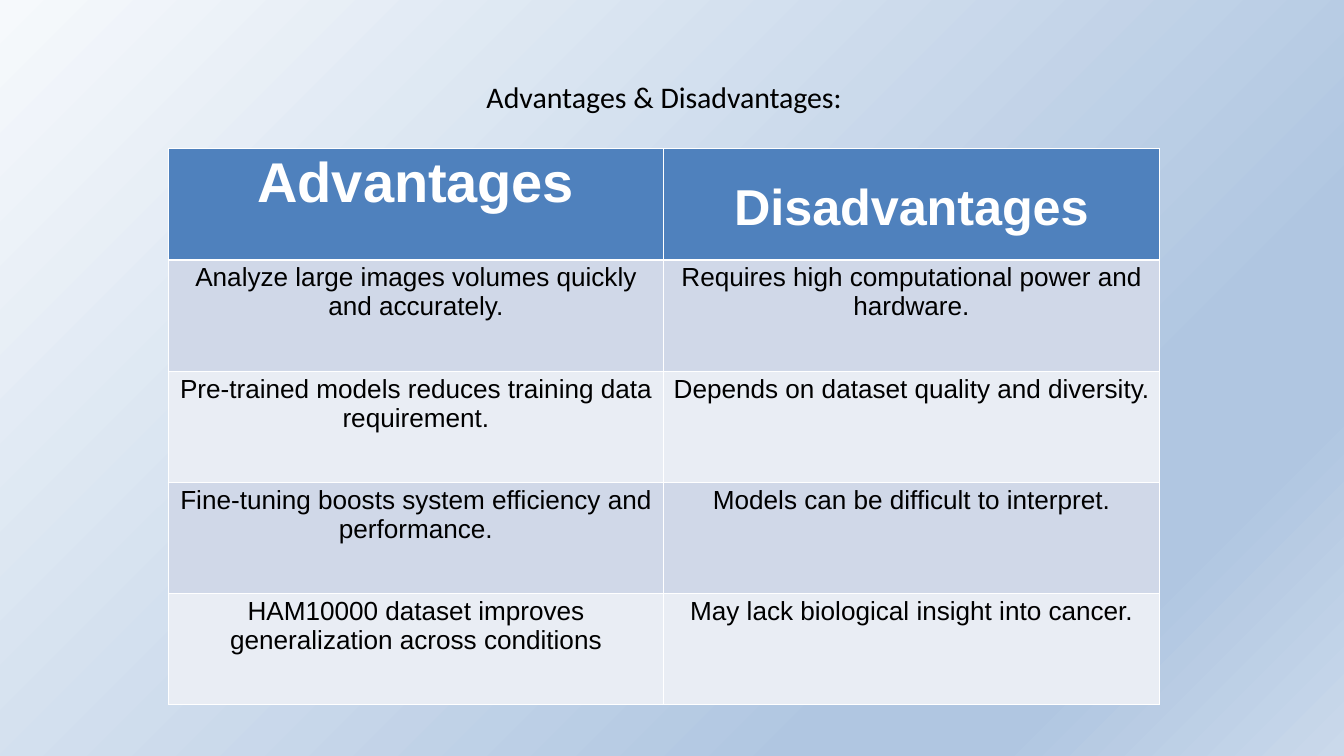
from dataclasses import dataclass

from lxml.etree import SubElement
from pptx import Presentation
from pptx.dml.color import RGBColor as Rgb
from pptx.enum.text import MSO_ANCHOR as Anchor, MSO_AUTO_SIZE as AutoSize, PP_ALIGN as Align
from pptx.oxml import parse_xml
from pptx.oxml.ns import nsdecls, qn
from pptx.util import Pt


@dataclass(frozen=True)
class Theme:
    """Colours, fonts and type sizes of the slide."""

    ink: str = "000000"
    white: str = "FFFFFF"
    header: str = "4F81BD"
    bands: tuple = ("D0D8E8", "E9EDF4")
    backdrop: tuple = ((0, "F6F9FC"), (74, "B0C6E1"), (83, "B0C6E1"), (100, "CAD9EB"))
    title_font: str = "Calibri"
    table_font: str = "Arial"
    title_size: int = 32
    header_sizes: tuple = (60, 54)
    body_size: int = 28
    tracking: int = -10
    rule: int = 1
    header_rule: int = 3


class SlideBuilder:
    """Draws the slide's elements in one theme."""

    def __init__(self, slide, theme):
        """Keep the slide and its theme."""
        self.slide = slide
        self.theme = theme

    def backdrop(self):
        """Fill the background with the diagonal gradient."""
        fill = self.slide.background.fill
        fill.gradient()
        fill.gradient_angle = 315
        stops = self.slide.element.find(".//" + qn("a:gsLst"))
        for stop in list(stops):
            stops.remove(stop)
        for percent, color in self.theme.backdrop:
            stop = SubElement(stops, qn("a:gs"), pos=str(percent * 1000))
            SubElement(stop, qn("a:srgbClr"), val=color)

    def add_text(self, paragraph, text, font, size, color, bold=False, tracking=0):
        """Add one centred, formatted run to a paragraph."""
        paragraph.alignment = Align.CENTER
        run = paragraph.add_run()
        run.text = text
        formats = {"name": font, "size": Pt(size), "bold": bold}
        for attribute, value in formats.items():
            setattr(run.font, attribute, value)
        run.font.color.rgb = Rgb.from_string(color)
        if tracking:
            run.font._element.set("spc", str(tracking))

    def title(self, parts, left, top, width, height):
        """Place the title and fill in its parts, each with its tracking."""
        heading = self.slide.shapes.title
        placement = {"left": left, "top": top, "width": width, "height": height}
        for attribute, value in placement.items():
            setattr(heading, attribute, Pt(value))
        frame = heading.text_frame
        formats = {"word_wrap": True, "auto_size": AutoSize.SHAPE_TO_FIT_TEXT,
                   "vertical_anchor": Anchor.TOP}
        for attribute, value in formats.items():
            setattr(frame, attribute, value)
        theme = self.theme
        for text, tracking in parts:
            self.add_text(frame.paragraphs[0], text, theme.title_font, theme.title_size,
                          theme.ink, tracking=tracking)

    def paint(self, cell, color, top_rule, bottom_rule):
        """Fill a cell and rule its four sides in white."""
        cell.fill.solid()
        cell.fill.fore_color.rgb = Rgb.from_string(color)
        rule = self.theme.rule
        sides = {"lnL": rule, "lnR": rule, "lnT": top_rule, "lnB": bottom_rule}
        for position, (side, width) in enumerate(sides.items()):
            line = parse_xml(
                f'<a:{side} {nsdecls("a")} w="{Pt(width)}"><a:solidFill>'
                f'<a:srgbClr val="{self.theme.white}"/></a:solidFill></a:{side}>')
            cell._tc.get_or_add_tcPr().insert(position, line)

    def table(self, headers, rows, left, top, width, height):
        """Draw the comparison table with its header and banded rows."""
        theme = self.theme
        grid = self.slide.shapes.add_table(
            len(rows) + 1, len(headers), Pt(left), Pt(top), Pt(width), Pt(height)).table
        for column, (text, spacing) in enumerate(headers):
            cell = grid.cell(0, column)
            self.paint(cell, theme.header, theme.rule, theme.header_rule)
            paragraph = cell.text_frame.paragraphs[0]
            paragraph.line_spacing = spacing
            self.add_text(paragraph, text, theme.table_font, theme.header_sizes[column],
                          theme.white, bold=True, tracking=theme.tracking)
        for row, points in enumerate(rows, start=1):
            band = theme.bands[(row - 1) % len(theme.bands)]
            top_rule = theme.header_rule if row == 1 else theme.rule
            for column, point in enumerate(points):
                cell = grid.cell(row, column)
                self.paint(cell, band, top_rule, theme.rule)
                self.add_text(cell.text_frame.paragraphs[0], point, theme.table_font,
                              theme.body_size, theme.ink)


def main():
    """Build and save the slide."""
    deck = Presentation()
    deck.slide_width, deck.slide_height = Pt(1440), Pt(810)
    theme = Theme()
    builder = SlideBuilder(deck.slides.add_slide(deck.slide_layouts[5]), theme)
    builder.backdrop()
    builder.title([("Advantages & ", 0), ("Disadvantages:", theme.tracking)],
                  351.4, 80.6, 720, 46)
    headers = [("Advantages", 1.0), ("Disadvantages", 1.5)]
    rows = [
        ("Analyze large images volumes quickly and accurately.",
         "Requires high computational power and hardware."),
        ("Pre-trained models reduces training data requirement.",
         "Depends on dataset quality and diversity."),
        ("Fine-tuning boosts system efficiency and performance.",
         "Models can be difficult to interpret."),
        ("HAM10000 dataset improves generalization across conditions",
         "May lack biological insight into cancer."),
    ]
    builder.table(headers, rows, 180, 159.1, 1062, 596.2)
    deck.save("out.pptx")


if __name__ == "__main__":
    main()
